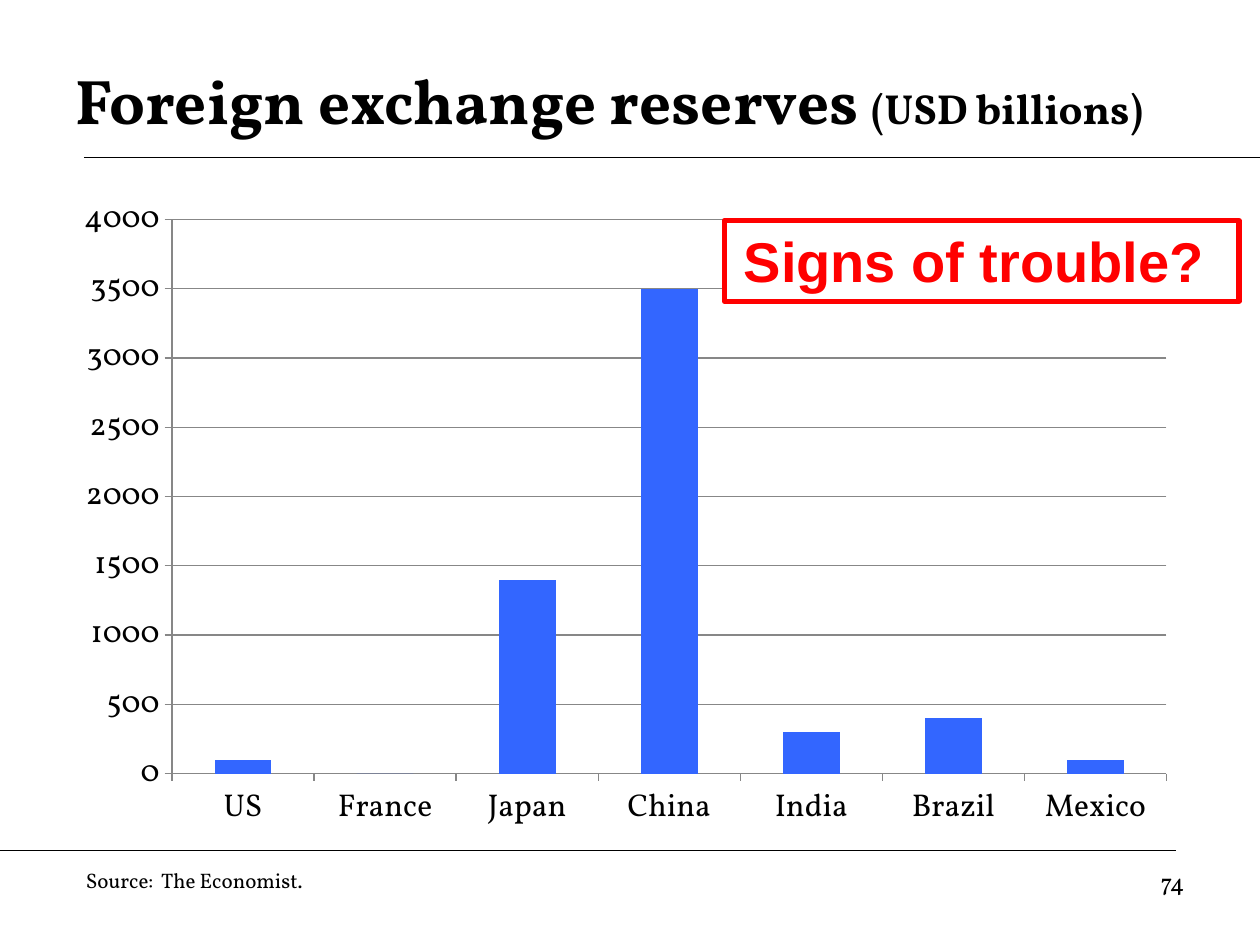
from lxml.etree import SubElement
from pptx import Presentation
from pptx.chart.data import CategoryChartData
from pptx.dml.color import RGBColor
from pptx.enum.chart import XL_CHART_TYPE, XL_TICK_MARK
from pptx.enum.shapes import MSO_CONNECTOR, MSO_SHAPE
from pptx.enum.text import MSO_ANCHOR, PP_ALIGN
from pptx.oxml import parse_xml
from pptx.oxml.ns import nsdecls, qn
from pptx.util import Pt

PX = 914400 // 120
SERIF, SANS = "Vollkorn", "Arial"
BLACK, WHITE, RED, BLUE, GREY = "000000", "FFFFFF", "FF0000", "3366FF", "878787"

# Content: runs are (text, size, bold)
TITLE = [("Foreign exchange reserves ", 36, True), ("(USD billions)", 24, True)]
SOURCE = [("Source:  The Economist.", 12, False)]
PAGE = [("74", 14, False)]
CALLOUT = [("Signs of trouble?", 32, True)]
RESERVES = {"US": 100, "France": 0, "Japan": 1400, "China": 3500,
            "India": 300, "Brazil": 400, "Mexico": 100}

# Places in px: left, top, width, height
TITLE_BOX = (60, 40, 1080, 110)
SOURCE_BOX = (70, 820, 360, 36)
PAGE_BOX = (860, 820, 280, 62)
CALLOUT_BOX = (690, 210, 490, 77)
CHART_BOX = (80, 184, 1060, 607)
PLOT_BOX = (163, 209, 948, 529)
RULES = [(80, 1200, 150), (0, 1120, 810)]  # from x, to x, y


def px(*sizes):
    return [size * PX for size in sizes]


def color(code):
    return RGBColor.from_string(code)


def write(shape, runs, font=SERIF, ink=BLACK, align=PP_ALIGN.LEFT,
          anchor=MSO_ANCHOR.TOP):
    frame = shape.text_frame
    frame.word_wrap = True
    frame.vertical_anchor = anchor
    para = frame.paragraphs[0]
    para.alignment = align
    for text, size, bold in runs:
        run = para.add_run()
        run.text = text
        run.font.name, run.font.size, run.font.bold = font, Pt(size), bold
        run.font.color.rgb = color(ink)


def add_rule(slide, left, right, top):
    rule = slide.shapes.add_connector(MSO_CONNECTOR.STRAIGHT,
                                      *px(left, top, right, top))
    rule.line.color.rgb = color(BLACK)
    rule.line.width = Pt(0.75)
    SubElement(rule._element.spPr, qn("a:effectLst"))


def fix_plot(chart):
    left, top, wide, high = CHART_BOX
    x, y, w, h = PLOT_BOX
    shares = {"x": (x - left) / wide, "y": (y - top) / high,
              "w": w / wide, "h": h / high}
    area = chart._chartSpace.chart.plotArea
    for old in area.findall(qn("c:layout")):
        area.remove(old)
    modes = "".join(f'<c:{key}Mode val="edge"/>' for key in "xy")
    sizes = "".join(f'<c:{key} val="{share:.4f}"/>'
                    for key, share in shares.items())
    area.insert(0, parse_xml(
        f'<c:layout {nsdecls("c")}><c:manualLayout>'
        f'<c:layoutTarget val="inner"/>{modes}{sizes}'
        '</c:manualLayout></c:layout>'))


def add_bars(slide):
    data = CategoryChartData()
    data.categories = list(RESERVES)
    data.add_series("Series 1", list(RESERVES.values()))
    chart = slide.shapes.add_chart(XL_CHART_TYPE.COLUMN_CLUSTERED,
                                   *px(*CHART_BOX), data).chart
    chart.has_legend = chart.has_title = False
    chart.font.name, chart.font.size = SERIF, Pt(18)
    chart.font.color.rgb = color(BLACK)

    # Bars
    plot = chart.plots[0]
    plot.gap_width = 150
    plot.vary_by_categories = False
    fill = plot.series[0].format.fill
    fill.solid()
    fill.fore_color.rgb = color(BLUE)

    # Axes and grid
    value = chart.value_axis
    value.minimum_scale, value.maximum_scale, value.major_unit = 0, 4000, 500
    value.has_major_gridlines = True
    for axis in (value, chart.category_axis):
        axis.major_tick_mark = XL_TICK_MARK.OUTSIDE
        axis.tick_labels.number_format = "General"
        axis.tick_labels.number_format_is_linked = False
    for part in (value, chart.category_axis, value.major_gridlines):
        part.format.line.color.rgb = color(GREY)
        part.format.line.width = Pt(0.75)
    fix_plot(chart)


def add_callout(slide):
    box = slide.shapes.add_shape(MSO_SHAPE.RECTANGLE, *px(*CALLOUT_BOX))
    box.shadow.inherit = False
    box.fill.solid()
    box.fill.fore_color.rgb = color(WHITE)
    box.line.color.rgb = color(RED)
    box.line.width = Pt(3)
    box.text_frame.margin_right = 26 * PX
    write(box, CALLOUT, SANS, RED, PP_ALIGN.CENTER, MSO_ANCHOR.TOP)


def main():
    deck = Presentation()
    deck.slide_width, deck.slide_height = px(1200, 900)
    slide = deck.slides.add_slide(deck.slide_layouts[6])

    for rule in RULES:
        add_rule(slide, *rule)

    # Title, page number and source
    texts = [(TITLE_BOX, TITLE, PP_ALIGN.LEFT, MSO_ANCHOR.MIDDLE),
             (PAGE_BOX, PAGE, PP_ALIGN.RIGHT, MSO_ANCHOR.TOP),
             (SOURCE_BOX, SOURCE, PP_ALIGN.LEFT, MSO_ANCHOR.TOP)]
    for place, runs, align, anchor in texts:
        box = slide.shapes.add_textbox(*px(*place))
        write(box, runs, align=align, anchor=anchor)

    add_bars(slide)
    add_callout(slide)
    deck.save("out.pptx")


if __name__ == "__main__":
    main()
